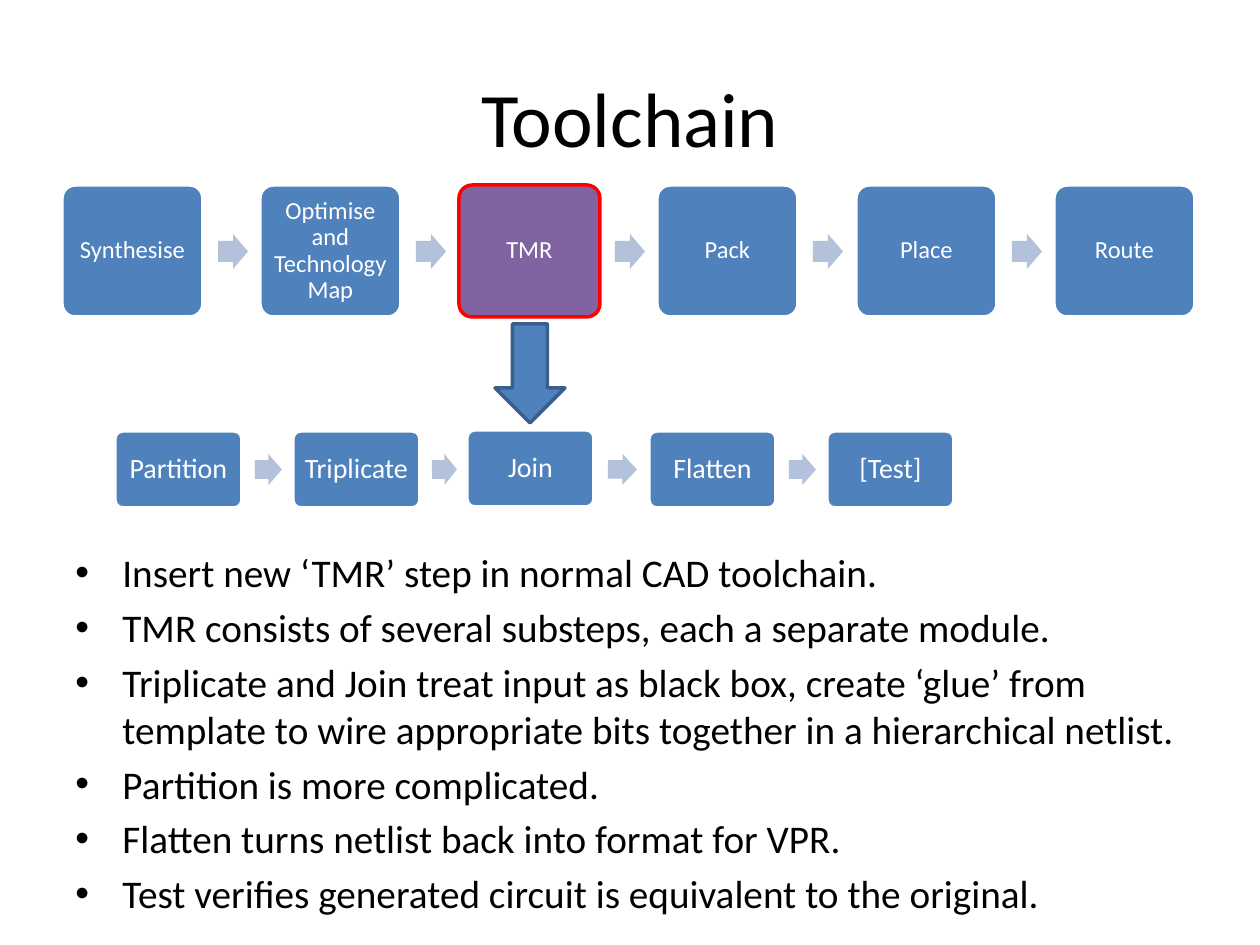
from dataclasses import dataclass
from itertools import pairwise
from math import atan2, degrees

from lxml.etree import SubElement
from pptx import Presentation
from pptx.dml.color import RGBColor as Color
from pptx.enum.shapes import MSO_SHAPE as Preset
from pptx.enum.text import MSO_ANCHOR as Anchor, PP_ALIGN as Align
from pptx.oxml.ns import qn
from pptx.util import Emu, Pt

SCALE = 914400 // 126


@dataclass(frozen=True)
class Theme:
    """Colours, type sizes and font of the slide."""
    font: str = "Calibri"
    ink: str = "000000"
    paper: str = "FFFFFF"
    step: str = "4F81BD"
    focus: str = "8064A2"
    focus_line: str = "FF0000"
    link: str = "B3C1DB"
    drop_line: str = "3A5F8C"
    title: float = 44
    stage: float = 14
    substep: float = 16
    body: float = 22.4


THEME = Theme()
STAGES = ["Synthesise", "Optimise and Technology Map", "TMR", "Pack", "Place", "Route"]
SUBSTEPS = ["Partition", "Triplicate", "Join", "Flatten", "[Test]"]
BULLETS = [
    "Insert new ‘TMR’ step in normal CAD toolchain.",
    "TMR consists of several substeps, each a separate module.",
    "Triplicate and Join treat input as black box, create ‘glue’ from template "
    "to wire appropriate bits together in a hierarchical netlist.",
    "Partition is more complicated.",
    "Flatten turns netlist back into format for VPR.",
    "Test verifies generated circuit is equivalent to the original.",
]


def px(value):
    """Turn pixels into EMU."""
    return Emu(round(value) * SCALE)


def assign(target, **values):
    """Set each named attribute on the target."""
    for name, value in values.items():
        setattr(target, name, value)


def place(shape, left, top, width, height):
    """Move and size a shape in pixels."""
    assign(shape, left=px(left), top=px(top), width=px(width), height=px(height))


def write(para, text, size, colour, **layout):
    """Fill a paragraph with one formatted run."""
    assign(para, **layout)
    span = para.add_run()
    span.text = text
    assign(span.font, name=THEME.font, size=Pt(size))
    span.font.color.rgb = Color.from_string(colour)


def add_preset(shapes, preset, area, fill, line=None, adjust=()):
    """Add a flat preset shape."""
    shape = shapes.add_shape(preset, *map(px, area))
    shape.shadow.inherit = False
    shape.fill.solid()
    shape.fill.fore_color.rgb = Color.from_string(fill)
    for index, value in enumerate(adjust):
        shape.adjustments[index] = value
    if line:
        shape.line.color.rgb = Color.from_string(line)
        shape.line.width = Pt(2)
    else:
        shape.line.fill.background()
    return shape


def add_step(shapes, text, area, size, focused):
    """Add a rounded box that names one step."""
    fill, line = (THEME.focus, THEME.focus_line) if focused else (THEME.step, THEME.paper)
    frame = add_preset(shapes, Preset.ROUNDED_RECTANGLE, area, fill, line, [0.1]).text_frame
    margins = dict.fromkeys(("margin_left", "margin_right", "margin_top", "margin_bottom"), px(9))
    assign(frame, word_wrap=True, vertical_anchor=Anchor.MIDDLE, **margins)
    write(frame.paragraphs[0], text, size, THEME.paper, alignment=Align.CENTER, line_spacing=0.9)


def add_link(shapes, start, end, height):
    """Add an arrow in the gap between two neighbouring boxes."""
    left, top, width, box_height = start
    gap = end[0] - left - width
    middle = (top + end[1] + box_height) / 2
    area = (left + width + 0.26 * gap, middle - height / 2, 0.53 * gap, height)
    arrow = add_preset(shapes, Preset.RIGHT_ARROW, area, THEME.link, adjust=[0.6, 0.5])
    arrow.rotation = degrees(atan2(end[1] - top, end[0] - left))


def add_process(page, steps, areas, size, link_height, focus=None):
    """Add a grouped row of steps joined by arrows."""
    shapes = page.shapes.add_group_shape().shapes
    for text, area in zip(steps, areas):
        add_step(shapes, text, area, size, text == focus)
    for start, end in pairwise(areas):
        add_link(shapes, start, end, link_height)


def add_title(page, text):
    """Place and fill the title placeholder."""
    title = page.shapes.title
    place(title, 63, 38, 1134, 157)
    title.text_frame.vertical_anchor = Anchor.MIDDLE
    write(title.text_frame.paragraphs[0], text, THEME.title, THEME.ink, alignment=Align.CENTER)


def add_bullets(page, items, area):
    """Add a text box with a bulleted list."""
    frame = page.shapes.add_textbox(*map(px, area)).text_frame
    frame.word_wrap = True
    for index, item in enumerate(items):
        para = frame.add_paragraph() if index else frame.paragraphs[0]
        write(para, item, THEME.body, THEME.ink, space_before=Pt(THEME.body * 0.2))
        props = para._p.get_or_add_pPr()
        props.set("marL", str(px(47)))
        props.set("indent", str(-px(47)))
        SubElement(props, qn("a:buFont"), typeface="Arial")
        SubElement(props, qn("a:buChar"), char="•")


def main():
    """Build the toolchain slide."""
    deck = Presentation()
    assign(deck, slide_width=px(1260), slide_height=px(945))
    page = deck.slides.add_slide(deck.slide_layouts[5])
    add_title(page, "Toolchain")
    stages = [(62 + 198.4 * index, 185, 141, 132) for index in range(len(STAGES))]
    add_process(page, STAGES, stages, THEME.stage, 35, focus="TMR")
    add_preset(page.shapes, Preset.DOWN_ARROW, (495, 324, 70, 99), THEME.step, THEME.drop_line)
    substeps = [(115 + 178 * index, 431, 127, 77) for index in range(len(SUBSTEPS))]
    substeps[SUBSTEPS.index("Join")] = (467, 430, 127, 77)
    add_process(page, SUBSTEPS, substeps, THEME.substep, 31)
    add_bullets(page, BULLETS, (63, 542, 1133, 387))
    deck.save("out.pptx")


main()
